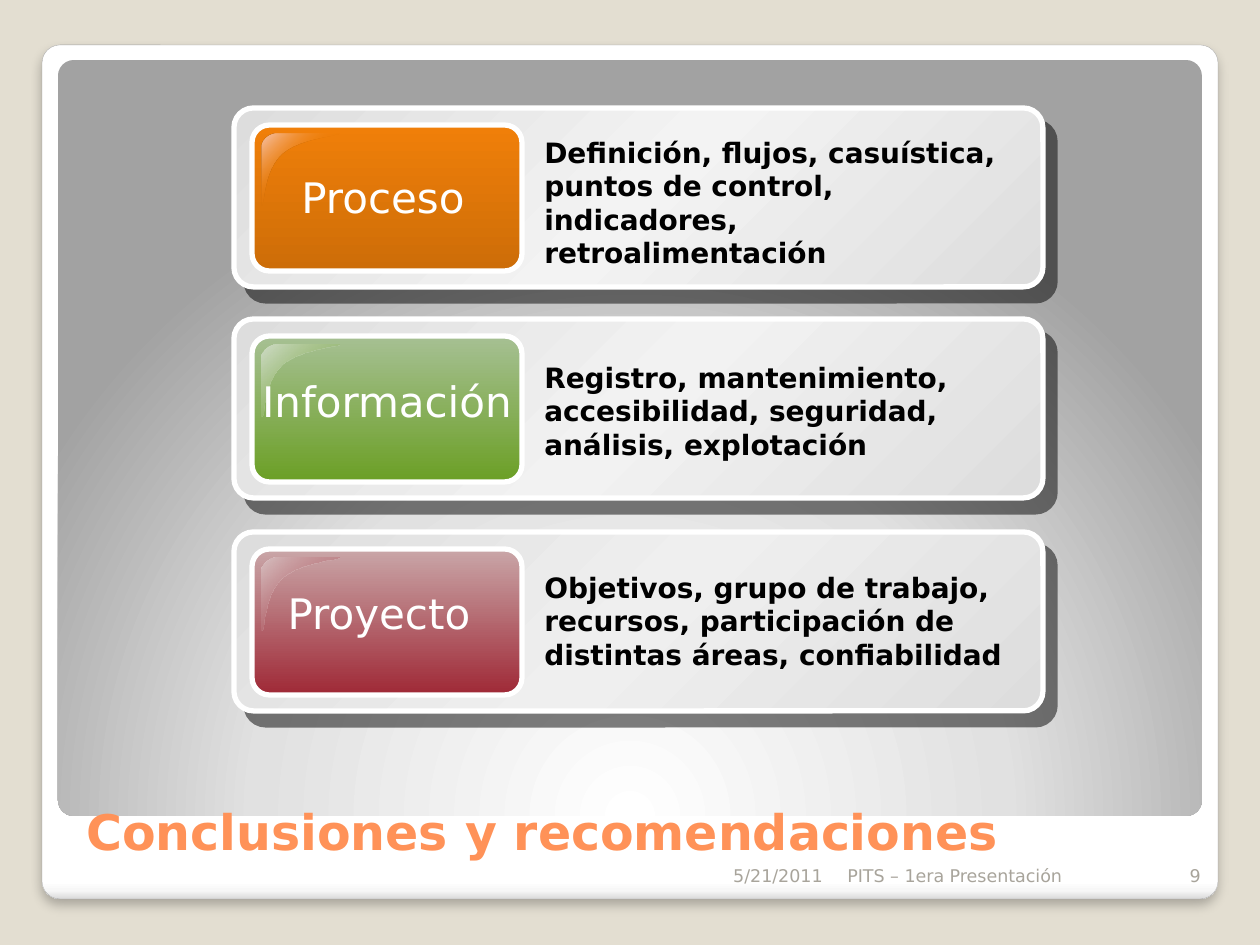
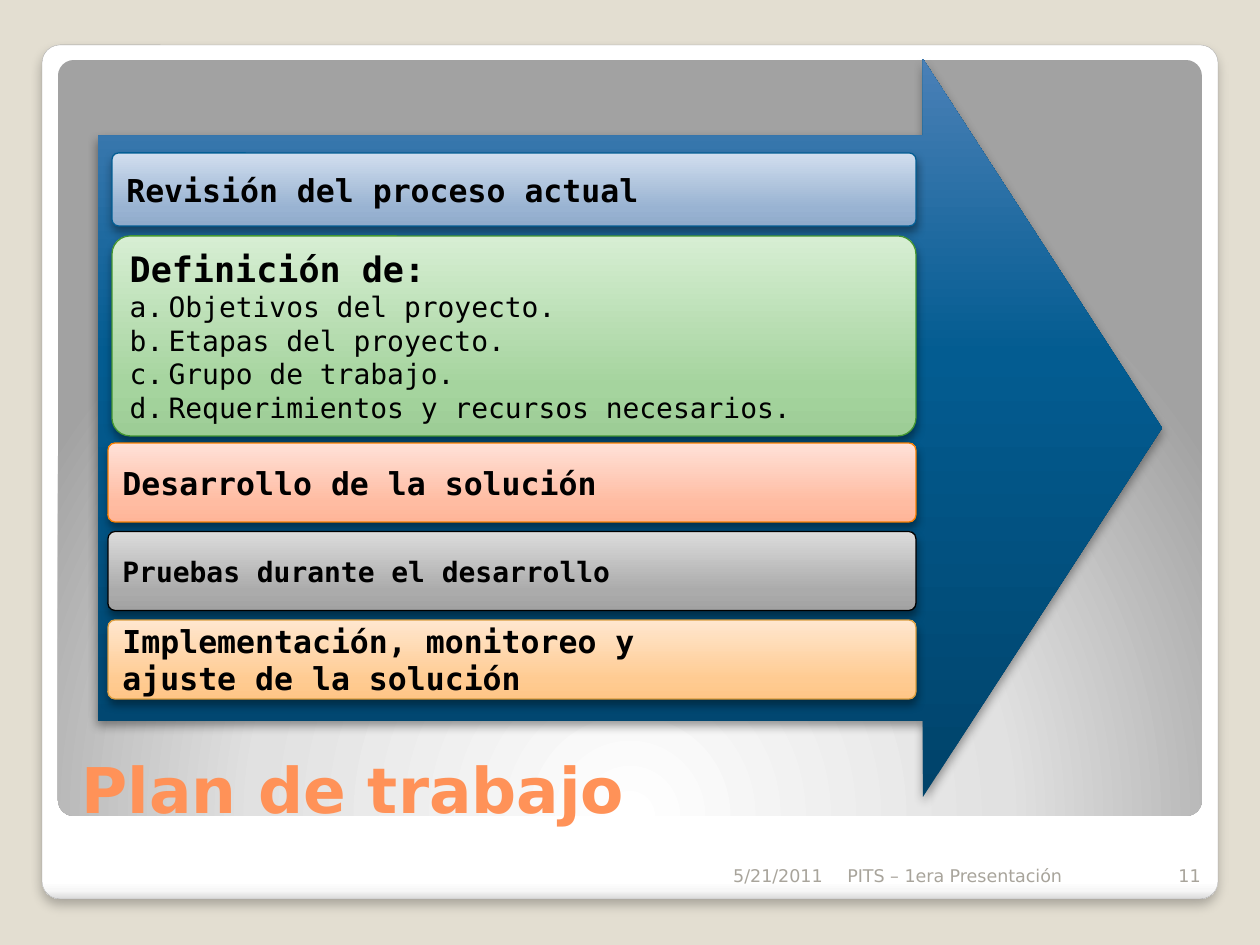
from lxml import etree
from pptx import Presentation
from pptx.dml.color import RGBColor as Rgb
from pptx.enum.shapes import MSO_SHAPE as Kind
from pptx.enum.text import MSO_ANCHOR as Anchor, PP_ALIGN as Align
from pptx.oxml.ns import qn
from pptx.util import Emu, Pt

SANS, MONO = "DejaVu Sans", "DejaVu Sans Mono"
HEX = {
    "back": "E3DED1", "title": "FF9258", "foot": "A8A49B", "edge": "A4A4A4",
    "white": "FFFFFF", "black": "000000", "blue": "035E94",
    "green": "439631", "orange": "F97F00", "gold": "DB9E3F",
}
FRAME = [(0, "FFFFFF"), (98, "FFFFFF"), (99, "F7F7F7"), (100, "DADADA")]
PANEL = [(0, "FFFFFF"), (55, "E1E1E1"), (100, "A2A2A2")]
ARROW = [(0, "00436A"), (60, "035C91"), (100, "4A80B7")]
# Shadows: alpha %, blur pt, distance pt, angle
SOFT, HARD, LOW = (25, 6, 4, 90), (50, 0, 10.6, 49), (40, 5.2, 3, 90)


def px(n):
    return Emu(round(n * 914400 / 126))


def add(parent, tag, **attrs):
    return etree.SubElement(parent, qn(tag), {k: str(v) for k, v in attrs.items()})


def tint(parent, color, alpha=100):
    node = add(parent, "a:srgbClr", val=color)
    if alpha < 100:
        add(node, "a:alpha", val=alpha * 1000)


def blend(shape, stops, angle=None):
    """Fill with a gradient: linear at an angle, or circular from below if none."""
    shape.fill.gradient()
    grad = shape._element.spPr.find(qn("a:gradFill"))
    for child in list(grad):
        grad.remove(child)
    items = add(grad, "a:gsLst")
    for pos, *color in stops:
        tint(add(items, "a:gs", pos=pos * 1000), *color)
    if angle is None:
        ring = add(grad, "a:path", path="circle")
        add(ring, "a:fillToRect", l=50000, t=175000, r=50000, b=-75000)
    else:
        add(grad, "a:lin", ang=angle * 60000, scaled=0)


def shade(shape, alpha, blur, dist, angle):
    effects = shape._element.spPr.find(qn("a:effectLst"))
    node = add(effects, "a:outerShdw", blurRad=Pt(blur), dist=Pt(dist),
               dir=angle * 60000, algn="ctr", rotWithShape=0)
    tint(node, HEX["black"], alpha)


def letter(para):
    """Number the paragraph a., b., c. with a hanging indent."""
    props = para._p.get_or_add_pPr()
    props.set("marL", str(px(39)))
    props.set("indent", str(-px(39)))
    add(props, "a:buFont", typeface="+mj-lt")
    add(props, "a:buAutoNum", type="alphaLcPeriod")


def write(shape, text, size=16, color="black", font=SANS, bold=False,
          align=Align.LEFT, anchor=Anchor.TOP, items=()):
    """Set one paragraph per line of text, then lettered items at 16 pt."""
    frame = shape.text_frame
    frame.word_wrap, frame.vertical_anchor = True, anchor
    lines = text.split("\n")
    for i, line in enumerate([*lines, *items]):
        para = frame.paragraphs[0] if i == 0 else frame.add_paragraph()
        para.alignment = align
        run = para.add_run()
        run.text = line
        look, listed = run.font, i >= len(lines)
        look.name, look.size = font, Pt(16 if listed else size)
        look.bold = bold and not listed
        look.color.rgb = Rgb.from_string(HEX[color])
        if listed:
            letter(para)


def curve(a, b, c, d, steps=12):
    """Points along a cubic curve, without its start."""
    for i in range(1, steps + 1):
        t = i / steps
        u = 1 - t
        yield tuple(u**3 * p + 3 * u * u * t * q + 3 * u * t * t * r + t**3 * s
                    for p, q, r, s in zip(a, b, c, d))


class Deck:
    """Holds the shared style and the slide being drawn."""

    def __init__(self):
        self.prs = Presentation()
        self.prs.slide_width, self.prs.slide_height = px(1260), px(945)

    def start(self, title, size, box, page):
        self.slide = self.prs.slides.add_slide(self.prs.slide_layouts[6])
        fill = self.slide.background.fill
        fill.solid()
        fill.fore_color.rgb = Rgb.from_string(HEX["back"])
        self.shape((42, 45, 1176, 854), FRAME, 90, (0.021,), "edge", 0.16, SOFT)
        self.shape((58, 60, 1144, 756), PANEL, None, (0.021,))
        self.text(box, title, size=size, color="title", bold=True, anchor=Anchor.BOTTOM)
        for left, width, words, align in (
                (520, 315, "5/21/2011", Align.RIGHT),
                (835, 315, "PITS – 1era Presentación", Align.LEFT),
                (1150, 63, page, Align.RIGHT)):
            self.text((left, 842, width, 50), words, size=10, color="foot",
                      align=align, anchor=Anchor.BOTTOM)

    def finish(self, shape, stops, angle, line=None, width=0, shadow=None):
        shape.shadow.inherit = False
        blend(shape, stops, angle)
        if line:
            shape.line.color.rgb = Rgb.from_string(HEX[line])
            shape.line.width = Pt(width)
        else:
            shape.line.fill.background()
        if shadow:
            shade(shape, *shadow)
        return shape

    def shape(self, box, stops, angle, adj, line=None, width=0, shadow=None,
              kind=Kind.ROUNDED_RECTANGLE):
        shape = self.slide.shapes.add_shape(kind, *map(px, box))
        for i, value in enumerate(adj):
            shape.adjustments[i] = value
        return self.finish(shape, stops, angle, line, width, shadow)

    def text(self, box, words, **look):
        write(self.slide.shapes.add_textbox(*map(px, box)), words, **look)

    def gloss(self, left, top, stops):
        """Draw the curved highlight in the corner of a badge."""
        points = [*curve((15, 0), (8, 0), (0, 6), (0, 14)), (0, 72),
                  *curve((0, 72), (4, 73), (1, 38), (21, 20)),
                  *curve((21, 20), (40, 4), (78, 3), (77, 0))]
        spots = [(px(left + x), px(top + y)) for x, y in points]
        pen = self.slide.shapes.build_freeform(px(left + 15), px(top))
        pen.add_line_segments(spots, close=True)
        self.finish(pen.convert_to_shape(), stops, 45)

    def card(self, top, mid, badge, shine, label, spot, words, drop, height):
        face = [(0, "DDDDDD"), (50, mid), (100, "DDDDDD")]
        self.shape((234, top, 809, 179), face, 45, (0.109,), "white", 3, HARD)
        self.shape((252, top + 17, 270, 146), badge, 90, (0.119,), "white", 3)
        self.gloss(262, top + 26, shine)
        left, down, width = spot
        self.text((left, top + down, width, 63), label, size=24, color="white",
                  align=Align.CENTER)
        self.text((532, top + drop, 493, height), words, bold=True)

    def step(self, box, stops, line, words, size=18, items=()):
        shape = self.shape(box, stops, 270, (0.091,), line, 0.75, LOW)
        write(shape, words, size=size, font=MONO, bold=True,
              anchor=Anchor.MIDDLE, items=items)


def ends(deck):
    deck.start("Conclusiones y recomendaciones", 28, (74, 722, 1128, 145), "9")
    deck.card(108, "F3F3F3", [(0, "F07F09"), (100, "CD6D08")],
              [(0, "F7C7B5"), (50, "F07F09", 0), (100, "F7C7B5")],
              "Proceso", (253, 57, 260),
              "Definición, flujos, casuística, puntos de control, indicadores, "
              "retroalimentación", 21, 149)
    deck.card(319, "F2F2F2", [(0, "A6C093"), (100, "6B9F25")],
              [(0, "D1DDC9"), (100, "6B9F25", 0)],
              "Información", (246, 50, 282),
              "Registro, mantenimiento, accesibilidad, seguridad, análisis, "
              "explotación", 35, 115)
    deck.card(532, "EFEFEF", [(0, "C9A6A8"), (100, "9F2936")],
              [(0, "D7C0C1"), (100, "9F2936", 0)],
              "Proyecto", (246, 49, 266),
              "Objetivos, grupo de trabajo, recursos, participación de "
              "distintas áreas, confiabilidad", 32, 115)


def plan(deck):
    deck.start("Plan de trabajo", 36, (69, 687, 1128, 145), "11")
    deck.shape((98, 59, 1064, 738), ARROW, 270, (0.793, 0.324), shadow=LOW,
               kind=Kind.RIGHT_ARROW)
    deck.step((112, 153, 804, 73), [(0, "90ABCB"), (25, "99B3D2"), (100, "D1DEEE")],
              "blue", "Revisión del proceso actual")
    deck.step((112, 236, 804, 200), [(0, "9DCD96"), (25, "A5D49E"), (100, "D7EED3")],
              "green", "Definición de:", 20,
              ("Objetivos del proyecto.", "Etapas del proyecto.",
               "Grupo de trabajo.", "Requerimientos y recursos necesarios."))
    rows = (
        ("FFB598", "FFBCA2", "FFE1D8", "orange", "Desarrollo de la solución", 18),
        ("A2A2A2", "ABABAB", "DCDCDC", "black", "Pruebas durante el desarrollo", 16),
        ("FFC687", "FFCB92", "FFE7CF", "gold",
         "Implementación, monitoreo y\najuste de la solución", 18),
    )
    for i, (low, mid, high, line, words, size) in enumerate(rows):
        deck.step((108, 443 + 88.5 * i, 808, 79),
                  [(0, low), (25, mid), (100, high)], line, words, size)


def main():
    deck = Deck()
    ends(deck)
    plan(deck)
    deck.prs.save("out.pptx")


if __name__ == "__main__":
    main()
